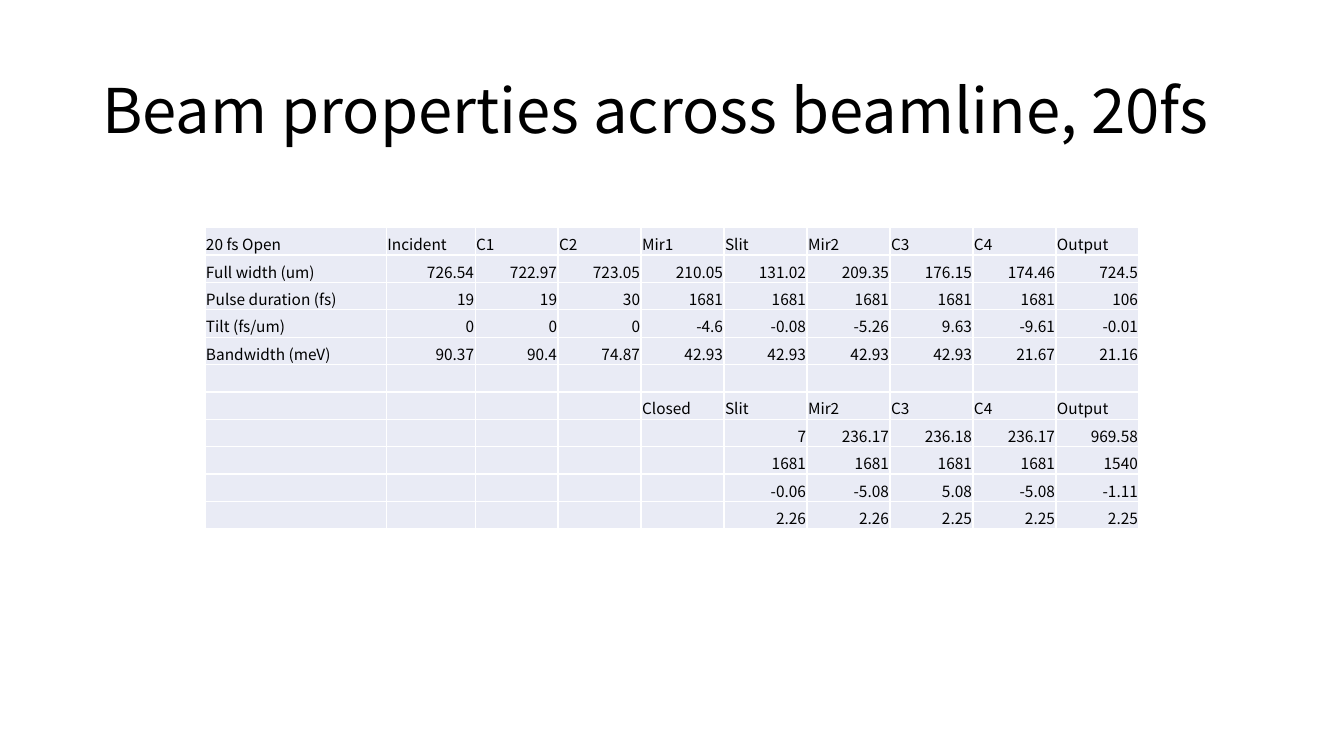
from lxml import etree
from pptx import Presentation
from pptx import util as u
from pptx.dml.color import RGBColor
from pptx.enum import text
from pptx.oxml import ns

BLACK = RGBColor(0x00, 0x00, 0x00)
WHITE = RGBColor(0xFF, 0xFF, 0xFF)
PALE_BLUE = RGBColor(0xE9, 0xEB, 0xF5)

# Grid of 160 columns by 90 rows, each 1/12 inch
UNIT = u.Inches(1) / 12
COLS, ROWS = 160, 90

# Table content
OPEN_SLIT = [
    ["20 fs Open", "Incident", "C1", "C2", "Mir1", "Slit", "Mir2", "C3", "C4", "Output"],
    ["Full width (um)", "726.54", "722.97", "723.05", "210.05", "131.02", "209.35", "176.15", "174.46", "724.5"],
    ["Pulse duration (fs)", "19", "19", "30", "1681", "1681", "1681", "1681", "1681", "106"],
    ["Tilt (fs/um)", "0", "0", "0", "-4.6", "-0.08", "-5.26", "9.63", "-9.61", "-0.01"],
    ["Bandwidth (meV)", "90.37", "90.4", "74.87", "42.93", "42.93", "42.93", "42.93", "21.67", "21.16"],
]
CLOSED_SLIT = [
    ["Closed", "Slit", "Mir2", "C3", "C4", "Output"],
    ["7", "236.17", "236.18", "236.17", "969.58"],
    ["1681", "1681", "1681", "1681", "1540"],
    ["-0.06", "-5.08", "5.08", "-5.08", "-1.11"],
    ["2.26", "2.26", "2.25", "2.25", "2.25"],
]
COL_WIDTHS = [21.6, 10.56] + [9.88] * 8
ROW_HEIGHT = 3.26


def grid(n):
    return u.Emu(round(n * UNIT))


def is_number(value):
    return value.lstrip("-").replace(".", "").isdigit()


def write(tf, words, size=11, font="Noto Sans CJK SC", color=BLACK,
          align=text.PP_ALIGN.LEFT, spacing=1.0):
    p = tf.paragraphs[0]
    p.alignment = align
    p.line_spacing = spacing
    if not words:
        # An empty cell keeps the small size so its row does not grow
        p._p.get_or_add_endParaRPr().set("sz", str(size * 100))
        return
    r = p.add_run()
    r.text = words
    r.font.size = u.Pt(size)
    r.font.name = font
    r.font.color.rgb = color


class Deck:
    def __init__(self):
        self.prs = Presentation()
        self.prs.slide_width, self.prs.slide_height = grid(COLS), grid(ROWS)
        self.s = self.prs.slides.add_slide(self.prs.slide_layouts[6])

    def title(self, words, x, y, w, h):
        tf = self.s.shapes.add_textbox(grid(x), grid(y), grid(w), grid(h)).text_frame
        tf.word_wrap = True
        tf.vertical_anchor = text.MSO_ANCHOR.MIDDLE
        write(tf, words, size=44, spacing=0.9)

    def border(self, cell, color=WHITE, width=1):
        tc_pr = cell._tc.get_or_add_tcPr()
        for i, side in enumerate(("lnL", "lnR", "lnT", "lnB")):
            ln = etree.Element(ns.qn("a:" + side), w=str(u.Pt(width)))
            fill = etree.SubElement(ln, ns.qn("a:solidFill"))
            etree.SubElement(fill, ns.qn("a:srgbClr"), val=str(color))
            tc_pr.insert(i, ln)

    def cell(self, cell, words):
        cell.fill.solid()
        cell.fill.fore_color.rgb = PALE_BLUE
        cell.vertical_anchor = text.MSO_ANCHOR.BOTTOM
        cell.margin_left = cell.margin_right = cell.margin_top = u.Inches(0.01)
        cell.margin_bottom = 0
        align = text.PP_ALIGN.RIGHT if is_number(words) else text.PP_ALIGN.LEFT
        write(cell.text_frame, words, align=align)
        self.border(cell)

    def table(self, rows, x, y, widths, row_height):
        tbl = self.s.shapes.add_table(
            len(rows), len(widths), grid(x), grid(y),
            grid(sum(widths)), grid(row_height * len(rows))).table
        tbl.first_row = tbl.horz_banding = False
        for col, width in zip(tbl.columns, widths):
            col.width = grid(width)
        for i, row in enumerate(rows):
            tbl.rows[i].height = grid(row_height)
            # Short rows line up with the right edge
            padded = [""] * (len(widths) - len(row)) + row
            for j, words in enumerate(padded):
                self.cell(tbl.cell(i, j), words)


def main():
    deck = Deck()
    # Heading
    deck.title("Beam properties across beamline, 20fs", 11, 4.8, 138, 17.4)
    # Open slit above, closed slit below, one empty row between
    deck.table(OPEN_SLIT + [[]] + CLOSED_SLIT, 24.4, 27.1, COL_WIDTHS, ROW_HEIGHT)
    deck.prs.save("out.pptx")


if __name__ == "__main__":
    main()
